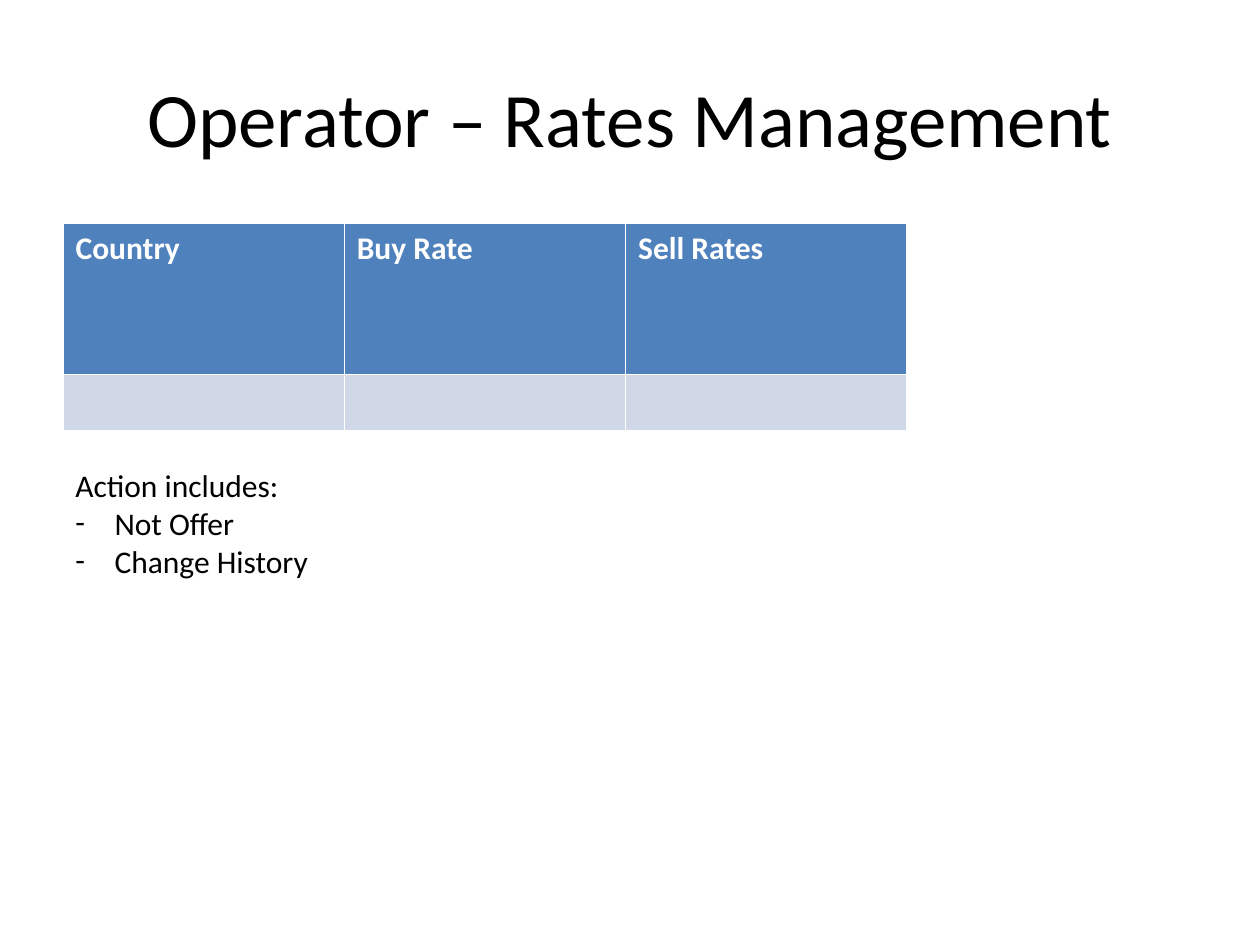
from dataclasses import dataclass

from lxml import etree
from pptx import Presentation
from pptx import util as u
from pptx.dml.color import RGBColor
from pptx.enum import text
from pptx.oxml.ns import qn

COLORS = {"ink": "000000", "white": "FFFFFF", "header": "4F81BD", "band": "D0D8E8"}
FONT = "Calibri"
LEFT = u.Cm(1.27)


@dataclass
class RateColumn:
    heading: str
    width: u.Length = u.Cm(5.67)


@dataclass
class ActionLine:
    wording: str
    bulleted: bool = True


RATE_COLUMNS = [RateColumn("Country"), RateColumn("Buy Rate"), RateColumn("Sell Rates")]
ROW_HEIGHTS = [u.Cm(3.05), u.Cm(1.14)]
ACTIONS = [
    ActionLine("Action includes:", bulleted=False),
    ActionLine("Not Offer"),
    ActionLine("Change History"),
]


def rgb(key: str) -> RGBColor:
    return RGBColor.from_string(COLORS[key])


def format_runs(paragraph, size: float, color: str, bold: bool = False) -> None:
    for run in paragraph.runs:
        run.font.name = FONT
        run.font.size = u.Pt(size)
        run.font.bold = bold
        run.font.color.rgb = rgb(color)


def add_dash(paragraph) -> None:
    properties = paragraph._p.get_or_add_pPr()
    indent = u.Cm(0.79)
    properties.set("marL", str(indent))
    properties.set("indent", str(-indent))
    etree.SubElement(properties, qn("a:buFont"), typeface=FONT)
    etree.SubElement(properties, qn("a:buChar"), char="-")


def write_title(slide, wording: str) -> None:
    title = slide.shapes.title
    title.left, title.top = LEFT, u.Cm(0.76)
    title.width, title.height = u.Cm(22.86), u.Cm(3.18)
    title.text_frame.text = wording
    title.text_frame.vertical_anchor = text.MSO_ANCHOR.MIDDLE
    heading = title.text_frame.paragraphs[0]
    heading.alignment = text.PP_ALIGN.CENTER
    format_runs(heading, 44, "ink")


def draw_rates(slide, columns: list[RateColumn]) -> None:
    width = sum(column.width for column in columns)
    rates = slide.shapes.add_table(
        len(ROW_HEIGHTS), len(columns), LEFT, u.Cm(4.5), width, sum(ROW_HEIGHTS)
    ).table
    for row, height in zip(rates.rows, ROW_HEIGHTS):
        row.height = height
    for index, column in enumerate(columns):
        rates.columns[index].width = column.width
        rates.cell(0, index).text_frame.text = column.heading
        format_runs(rates.cell(0, index).text_frame.paragraphs[0], 18, "white", bold=True)
        for row_index, color in enumerate(("header", "band")):
            fill = rates.cell(row_index, index).fill
            fill.solid()
            fill.fore_color.rgb = rgb(color)


def write_actions(slide, lines: list[ActionLine]) -> None:
    frame = slide.shapes.add_textbox(LEFT, u.Cm(9.27), u.Cm(20.93), u.Cm(3.33)).text_frame
    frame.word_wrap = True
    frame.auto_size = text.MSO_AUTO_SIZE.SHAPE_TO_FIT_TEXT
    frame.text = "\n".join(line.wording for line in lines)
    for paragraph, line in zip(frame.paragraphs, lines):
        format_runs(paragraph, 18, "ink")
        if line.bulleted:
            add_dash(paragraph)


def main() -> None:
    deck = Presentation()
    deck.slide_width, deck.slide_height = u.Cm(25.4), u.Cm(19.05)
    slide = deck.slides.add_slide(deck.slide_layouts.get_by_name("Title Only"))
    write_title(slide, "Operator – Rates Management")
    draw_rates(slide, RATE_COLUMNS)
    write_actions(slide, ACTIONS)
    deck.save("out.pptx")


if __name__ == "__main__":
    main()
